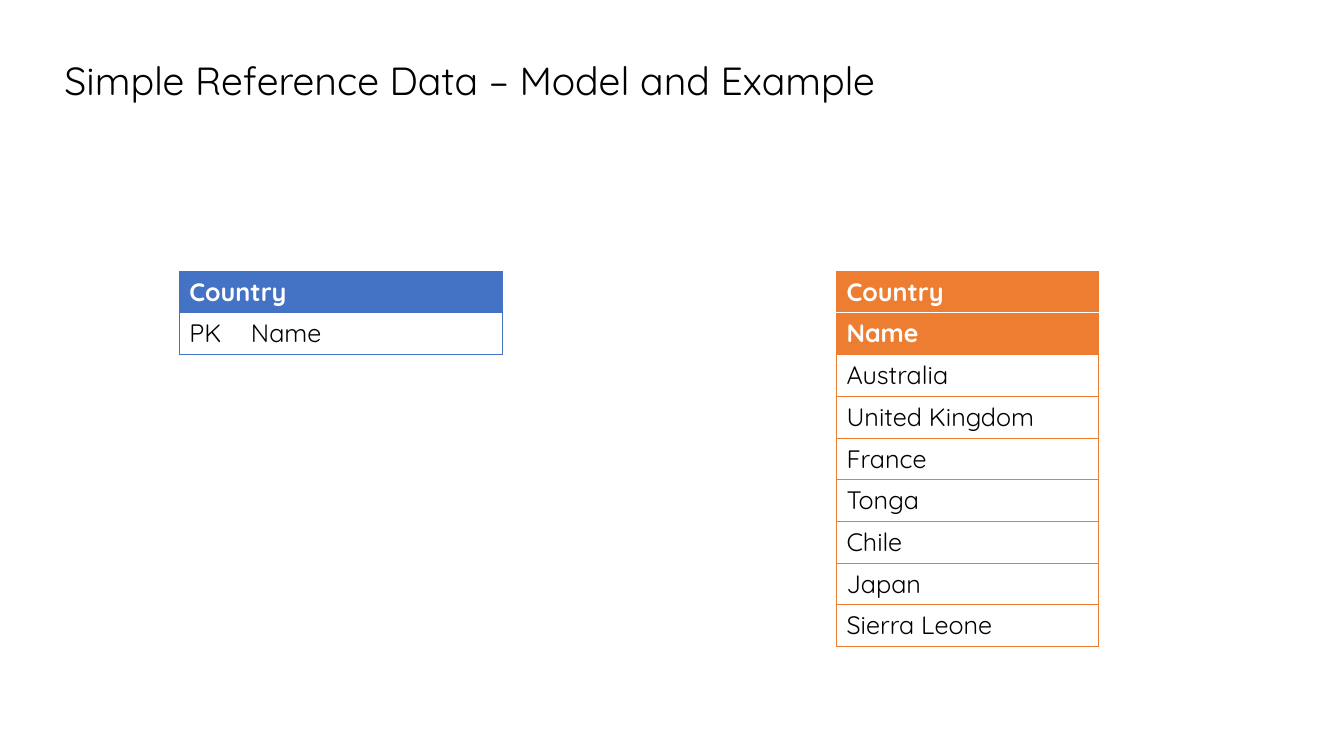
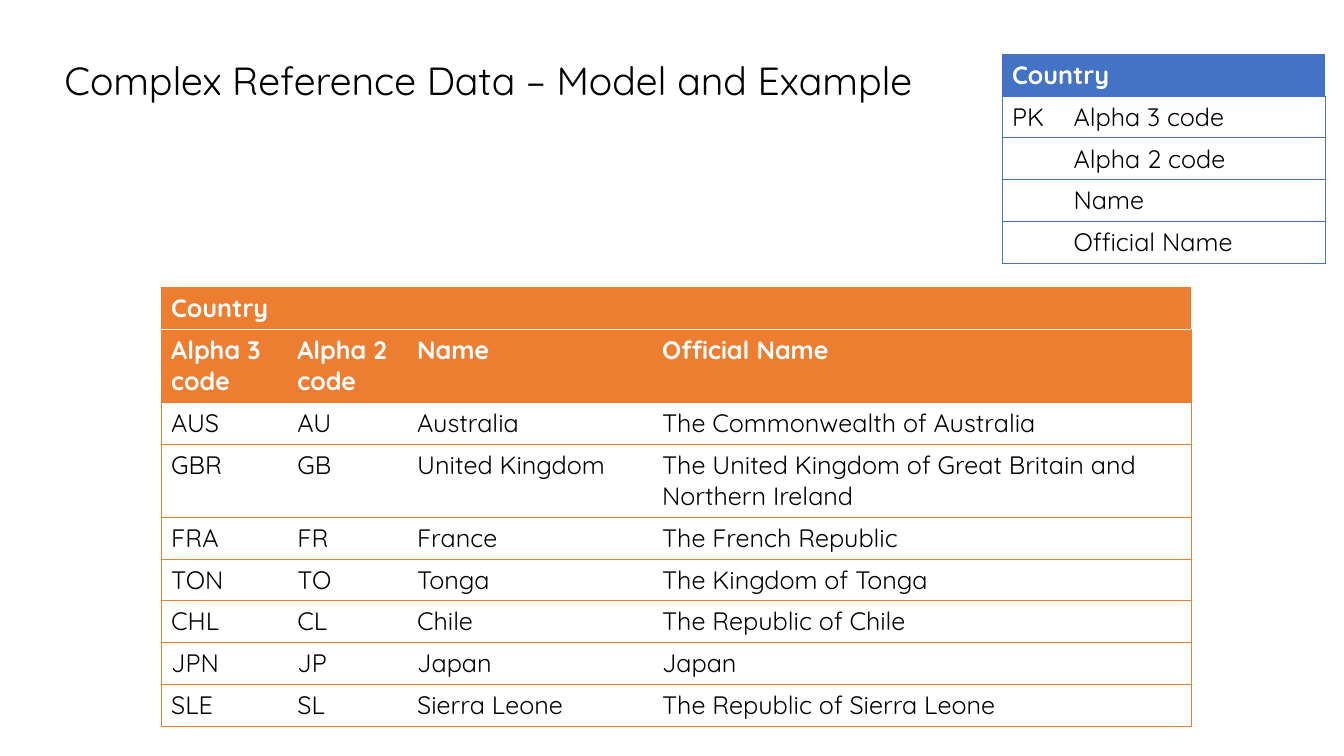
from pptx import Presentation
from pptx.dml.color import RGBColor
from pptx.enum.text import MSO_ANCHOR, MSO_AUTO_SIZE, PP_ALIGN
from pptx.oxml.xmlchemy import OxmlElement as Element
from pptx.util import Cm, Pt

FONT = "Quicksand"
BLACK = RGBColor(0x00, 0x00, 0x00)
WHITE = RGBColor(0xFF, 0xFF, 0xFF)
BLUE = RGBColor(0x44, 0x72, 0xC4)
ORANGE = RGBColor(0xED, 0x7D, 0x31)
ROW_HEIGHT = 1.05
MODEL_COLS = [1.55, 6.6]

COUNTRIES = [
    ["AUS", "AU", "Australia", "The Commonwealth of Australia"],
    ["GBR", "GB", "United Kingdom",
     "The United Kingdom of Great Britain and Northern Ireland"],
    ["FRA", "FR", "France", "The French Republic"],
    ["TON", "TO", "Tonga", "The Kingdom of Tonga"],
    ["CHL", "CL", "Chile", "The Republic of Chile"],
    ["JPN", "JP", "Japan", "Japan"],
    ["SLE", "SL", "Sierra Leone", "The Republic of Sierra Leone"],
]
FIELDS = ["Alpha 3 code", "Alpha 2 code", "Name", "Official Name"]


def write_text(tf, text, size=18, color=BLACK, bold=False, spacing=None):
    """Write one left-aligned paragraph into a text frame."""
    p = tf.paragraphs[0]
    p.alignment = PP_ALIGN.LEFT
    p.line_spacing = spacing
    r = p.add_run()
    r.text = text
    r.font.name = FONT
    r.font.size = Pt(size)
    r.font.bold = bold
    r.font.color.rgb = color


def add_border(cell, side, color):
    """Draw one cell border, or hide it when color is None."""
    ln = Element(f"a:ln{side}")
    ln.set("w", str(Pt(0.5)))
    if color is None:
        ln.append(Element("a:noFill"))
    else:
        fill = Element("a:solidFill")
        rgb = Element("a:srgbClr")
        rgb.set("val", str(color))
        fill.append(rgb)
        ln.append(fill)
    cell._tc.get_or_add_tcPr().append(ln)


def format_cell(cell, text, accent, header, borders):
    """Give a cell its borders, fill and text."""
    for side, color in zip("LRTB", borders):
        add_border(cell, side, color)
    if header:
        cell.fill.solid()
        cell.fill.fore_color.rgb = accent
    else:
        cell.fill.background()
    if text:
        write_text(cell.text_frame, text, bold=header,
                   color=WHITE if header else BLACK)


def add_entity(slide, left, top, widths, rows, accent, headers=1):
    """Add a Country table whose first rows are filled headers."""
    rows = [["Country"] + [""] * (len(widths) - 1)] + rows
    frame = slide.shapes.add_table(
        len(rows), len(widths), Cm(left), Cm(top),
        Cm(sum(widths)), Cm(ROW_HEIGHT * len(rows)))
    table = frame.table
    table.first_row = table.horz_banding = False
    for column, width in zip(table.columns, widths):
        column.width = Cm(width)
    for i, row in enumerate(rows):
        table.rows[i].height = Cm(ROW_HEIGHT)
        for j, text in enumerate(row):
            borders = (
                accent if j == 0 else None,
                accent if j == len(widths) - 1 else None,
                WHITE if 0 < i < headers else accent,
                WHITE if i < headers - 1 else accent,
            )
            format_cell(table.cell(i, j), text, accent, i < headers, borders)
    if len(widths) > 1:
        table.cell(0, 0).merge(table.cell(0, len(widths) - 1))


def add_slide(prs, title):
    """Add a slide with the shared title style."""
    slide = prs.slides.add_slide(prs.slide_layouts[5])
    sp = slide.shapes.title
    sp.left, sp.top, sp.width, sp.height = Cm(1.37), Cm(1.37), Cm(26.9), Cm(1.42)
    tf = sp.text_frame
    tf.auto_size = MSO_AUTO_SIZE.NONE
    tf.vertical_anchor = MSO_ANCHOR.MIDDLE
    write_text(tf, title, size=28, spacing=0.9)
    return slide


def main():
    """Build both slides and save the presentation."""
    prs = Presentation()
    prs.slide_width, prs.slide_height = Cm(33.87), Cm(19.05)

    slide = add_slide(prs, "Simple Reference Data – Model and Example")
    names = [["Name"]] + [[country[2]] for country in COUNTRIES]
    add_entity(slide, 21.08, 6.83, [6.6], names, ORANGE, headers=2)
    add_entity(slide, 4.52, 6.83, MODEL_COLS, [["PK", "Name"]], BLUE)

    slide = add_slide(prs, "Complex Reference Data – Model and Example")
    model = [["" if i else "PK", field] for i, field in enumerate(FIELDS)]
    add_entity(slide, 25.25, 1.37, MODEL_COLS, model, BLUE)
    add_entity(slide, 4.06, 7.24, [3.18, 3.02, 6.17, 13.59],
               [FIELDS] + COUNTRIES, ORANGE, headers=2)

    prs.save("out.pptx")


if __name__ == "__main__":
    main()
